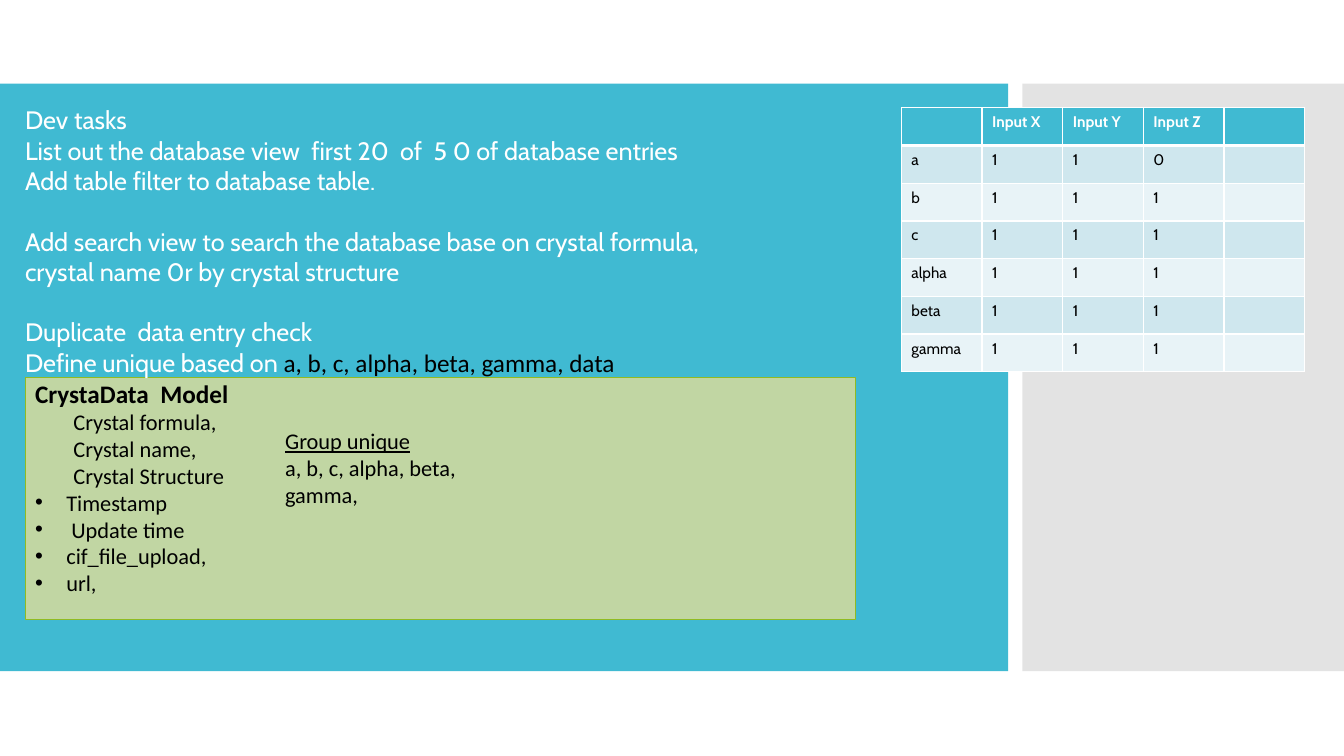
from dataclasses import dataclass

from lxml import etree
from pptx import Presentation
from pptx import util as u
from pptx.dml.color import RGBColor
from pptx.enum import shapes, text
from pptx.oxml import ns

COLORS = {
    "white": "FFFFFF",
    "black": "000000",
    "teal": "40BAD2",
    "grey": "C8C8C8",
    "green": "C1D6A3",
    "green_line": "90BB23",
    "band_dark": "CFE7EE",
    "band_light": "E8F3F7",
}


@dataclass
class Run:
    content: str
    size: float = 16
    font: str = "Calibri"
    color: str = "black"
    bold: bool = False
    underline: bool = False


@dataclass
class Line:
    runs: list[Run]
    margin: float = 0
    bullet: bool = False
    gap_before: float = 0


@dataclass
class Box:
    left: float
    top: float
    width: float
    height: float

    def lengths(self) -> list[int]:
        return [u.Inches(v) for v in (self.left, self.top, self.width, self.height)]


def rgb(name: str) -> RGBColor:
    return RGBColor.from_string(COLORS[name])


def add_child(parent, tag: str, **attributes: str):
    return etree.SubElement(parent, ns.qn(tag), **attributes)


def add_run(paragraph, run: Run) -> None:
    item = paragraph.add_run()
    item.text = run.content
    font = item.font
    font.size, font.name = u.Pt(run.size), run.font
    font.bold, font.underline = run.bold, run.underline
    font.color.rgb = rgb(run.color)


def write_lines(frame, lines: list[Line]) -> None:
    frame.word_wrap = True
    frame.vertical_anchor = text.MSO_ANCHOR.TOP
    for index, line in enumerate(lines):
        paragraph = frame.paragraphs[0] if index == 0 else frame.add_paragraph()
        paragraph.alignment = text.PP_ALIGN.LEFT
        paragraph.space_before = u.Pt(line.gap_before)
        properties = paragraph._p.get_or_add_pPr()
        properties.set("marL", str(u.Inches(line.margin)))
        if line.bullet:
            properties.set("indent", str(-u.Inches(line.margin)))
            add_child(properties, "a:buFont", typeface="Arial")
            add_child(properties, "a:buChar", char="•")
        for run in line.runs:
            add_run(paragraph, run)


def add_panel(slide, box: Box, color: str):
    panel = slide.shapes.add_shape(shapes.MSO_SHAPE.RECTANGLE, *box.lengths())
    panel.shadow.inherit = False
    panel.fill.solid()
    panel.fill.fore_color.rgb = rgb(color)
    panel.line.fill.background()
    return panel


def add_text(slide, box: Box, lines: list[Line]) -> None:
    write_lines(slide.shapes.add_textbox(*box.lengths()).text_frame, lines)


def set_borders(cell, bottom: float) -> None:
    properties = cell._tc.get_or_add_tcPr()
    for side, width in (("L", 1), ("R", 1), ("T", 1), ("B", bottom)):
        border = add_child(properties, f"a:ln{side}", w=str(u.Pt(width)))
        add_child(add_child(border, "a:solidFill"), "a:srgbClr", val=COLORS["white"])


def add_input_table(slide, box: Box, rows: list[list[str]]) -> None:
    table = slide.shapes.add_table(len(rows), len(rows[0]), *box.lengths()).table
    for row_index, values in enumerate(rows):
        header = row_index == 0
        table.rows[row_index].height = u.Inches(box.height / len(rows))
        band = "teal" if header else "band_dark" if row_index % 2 else "band_light"
        for column_index, value in enumerate(values):
            cell = table.cell(row_index, column_index)
            set_borders(cell, 3 if header else 1)
            cell.fill.solid()
            cell.fill.fore_color.rgb = rgb(band)
            if value:
                color = "white" if header else "black"
                add_run(cell.text_frame.paragraphs[0], Run(value, 11, "Cabin", color, header))
            else:
                cell.margin_top = cell.margin_bottom = 0


def task(content: str, gap: float = 0) -> Line:
    return Line([Run(content, 18, "Cabin", "white")], gap_before=gap)


deck = Presentation()
deck.slide_width, deck.slide_height = u.Inches(13.33), u.Inches(7.5)
slide = deck.slides.add_slide(deck.slide_layouts[6])

# Background panels
add_panel(slide, Box(0, 0.83, 10, 5.83), "teal")
side_panel = add_panel(slide, Box(10.14, 0.83, 3.19, 5.83), "grey")
side_color = side_panel.fill._xPr.find(".//" + ns.qn("a:srgbClr"))
add_child(side_color, "a:alpha", val="50000")

# Data model
model_panel = add_panel(slide, Box(0.25, 3.75, 8.24, 2.4), "green")
model_panel.line.color.rgb = rgb("green_line")
model_panel.line.width = u.Pt(0.75)
model_panel.text_frame.margin_top = 0
crystal_fields = ["Crystal formula,", "Crystal name,", "Crystal Structure"]
record_fields = ["Timestamp", " Update time", "cif_file_upload,", "url,"]
write_lines(
    model_panel.text_frame,
    [Line([Run("CrystaData  Model", 18, bold=True)])]
    + [Line([Run(field)], margin=0.38) for field in crystal_fields]
    + [Line([Run(field)], margin=0.31, bullet=True) for field in record_fields],
)

# Unique group
add_text(slide, Box(2.73, 4.19, 1.98, 1.18), [
    Line([Run("Group unique", underline=True)]),
    Line([Run("a, b, c, alpha, beta, gamma,")]),
])

# Input table
inputs = [["", "Input X", "Input Y", "Input Z", ""], ["a", "1", "1", "0", ""]]
inputs += [[name, "1", "1", "1", ""] for name in ("b", "c", "alpha", "beta", "gamma")]
add_input_table(slide, Box(8.94, 1.07, 4, 2.62), inputs)

# Development tasks
SECTION_GAP = 21.7
unique_rule = task("Define unique based on ")
unique_rule.runs.append(Run("a, b, c, alpha, beta, gamma, data", 18))
add_text(slide, Box(0.15, 0.99, 7.13, 3.13), [
    task("Dev tasks"),
    task("List out the database view  first 20  of  5 0 of database entries"),
    task("Add table filter to database table."),
    task("Add search view to search the database base on crystal formula, "
         "crystal name 0r by crystal structure", SECTION_GAP),
    task("Duplicate  data entry check", SECTION_GAP),
    unique_rule,
])

deck.save("out.pptx")
